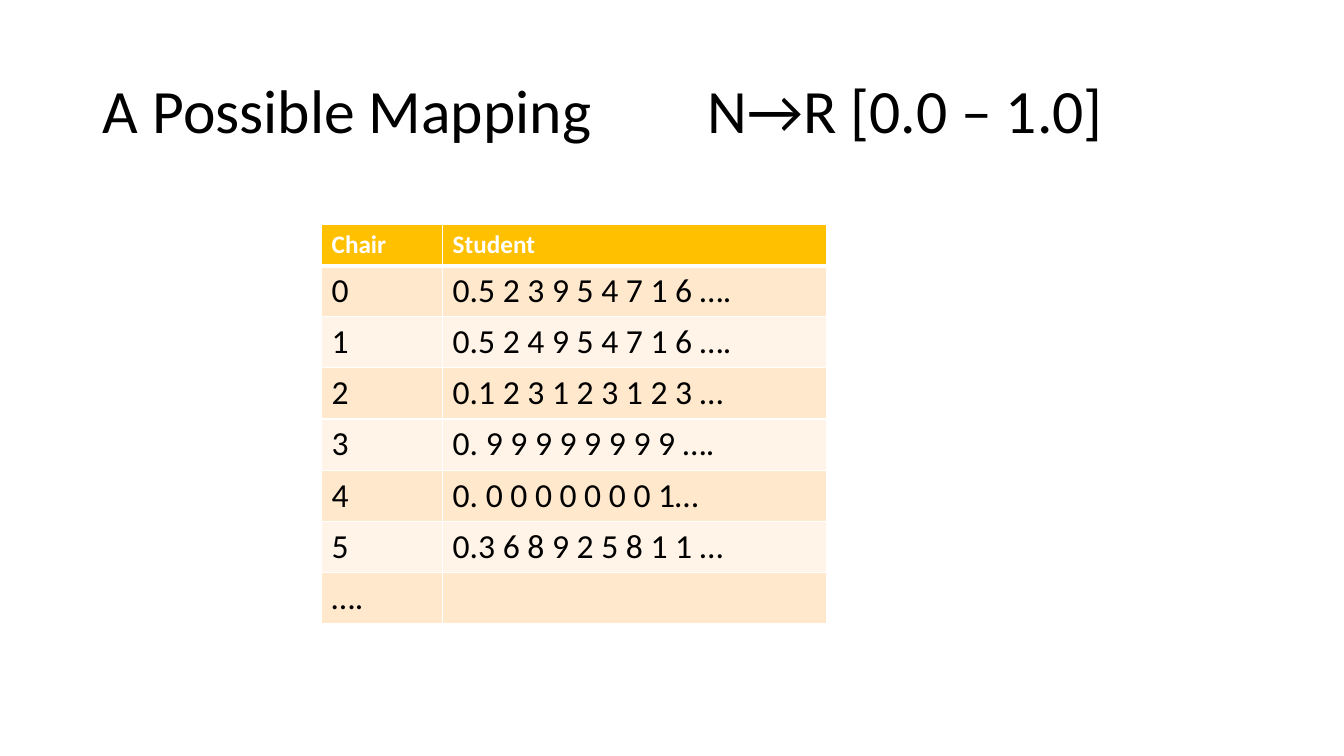
"""Build the slide that maps chairs to students as a table under a title."""
from lxml import etree
from pptx import Presentation
from pptx import util as u
from pptx.dml.color import RGBColor
from pptx.enum import text
from pptx.oxml import ns


def write(tf, content, size, color="000000", bold=False):
    p = tf.paragraphs[0]
    p.alignment = text.PP_ALIGN.LEFT
    r = p.add_run()
    r.text = content
    r.font.name, r.font.size, r.font.bold = "Calibri", u.Pt(size), bold
    r.font.color.rgb = RGBColor.from_string(color)
    return p


def add_border(cell, side, width):
    ln = etree.SubElement(cell._tc.get_or_add_tcPr(), ns.qn(f"a:{side}"), w=str(u.Pt(width)))
    fill = etree.SubElement(ln, ns.qn("a:solidFill"))
    etree.SubElement(fill, ns.qn("a:srgbClr"), val="FFFFFF")


prs = Presentation()
prs.slide_width, prs.slide_height = u.Inches(13.33), u.Inches(7.5)
s = prs.slides.add_slide(prs.slide_layouts[5])

title = s.shapes.title
title.left, title.top = u.Inches(0.92), u.Inches(0.4)
title.width, title.height = u.Inches(11.5), u.Inches(1.45)
tf = title.text_frame
tf.word_wrap = True
tf.auto_size = text.MSO_AUTO_SIZE.NONE
tf.vertical_anchor = text.MSO_ANCHOR.MIDDLE
p = write(tf, "A Possible Mapping\t\tN→R [0.0 – 1.0]", 44)
p.line_spacing = 0.9
tabs = etree.SubElement(p._p.get_or_add_pPr(), ns.qn("a:tabLst"))
for stop in (5, 6):
    etree.SubElement(tabs, ns.qn("a:tab"), pos=str(u.Inches(stop)), algn="l")

rows = [
    ("Chair", "Student"),
    ("0", "0.5 2 3 9 5 4 7 1 6 …."),
    ("1", "0.5 2 4 9 5 4 7 1 6 …."),
    ("2", "0.1 2 3 1 2 3 1 2 3 …"),
    ("3", "0. 9 9 9 9 9 9 9 9 …."),
    ("4", "0. 0 0 0 0 0 0 0 1…"),
    ("5", "0.3 6 8 9 2 5 8 1 1 …"),
    ("….", ""),
]
widths = (1.2, 3.81)
header_height, row_height = 0.4, 0.5
height = header_height + row_height * (len(rows) - 1)
table = s.shapes.add_table(len(rows), len(widths), u.Inches(3.19), u.Inches(2.23),
                           u.Inches(sum(widths)), u.Inches(height)).table
for column, width in zip(table.columns, widths):
    column.width = u.Inches(width)

for i, row in enumerate(rows):
    header = i == 0
    table.rows[i].height = u.Inches(header_height if header else row_height)
    color = "FFC000" if header else ("FFF4E7", "FFE8CC")[i % 2]
    for j, content in enumerate(row):
        cell = table.cell(i, j)
        for side in ("lnL", "lnR", "lnT", "lnB"):
            thick = (header and side == "lnB") or (i == 1 and side == "lnT")
            add_border(cell, side, 3 if thick else 1)
        cell.fill.solid()
        cell.fill.fore_color.rgb = RGBColor.from_string(color)
        if content:
            write(cell.text_frame, content, 18 if header else 24,
                  color="FFFFFF" if header else "000000", bold=header)

prs.save("out.pptx")
